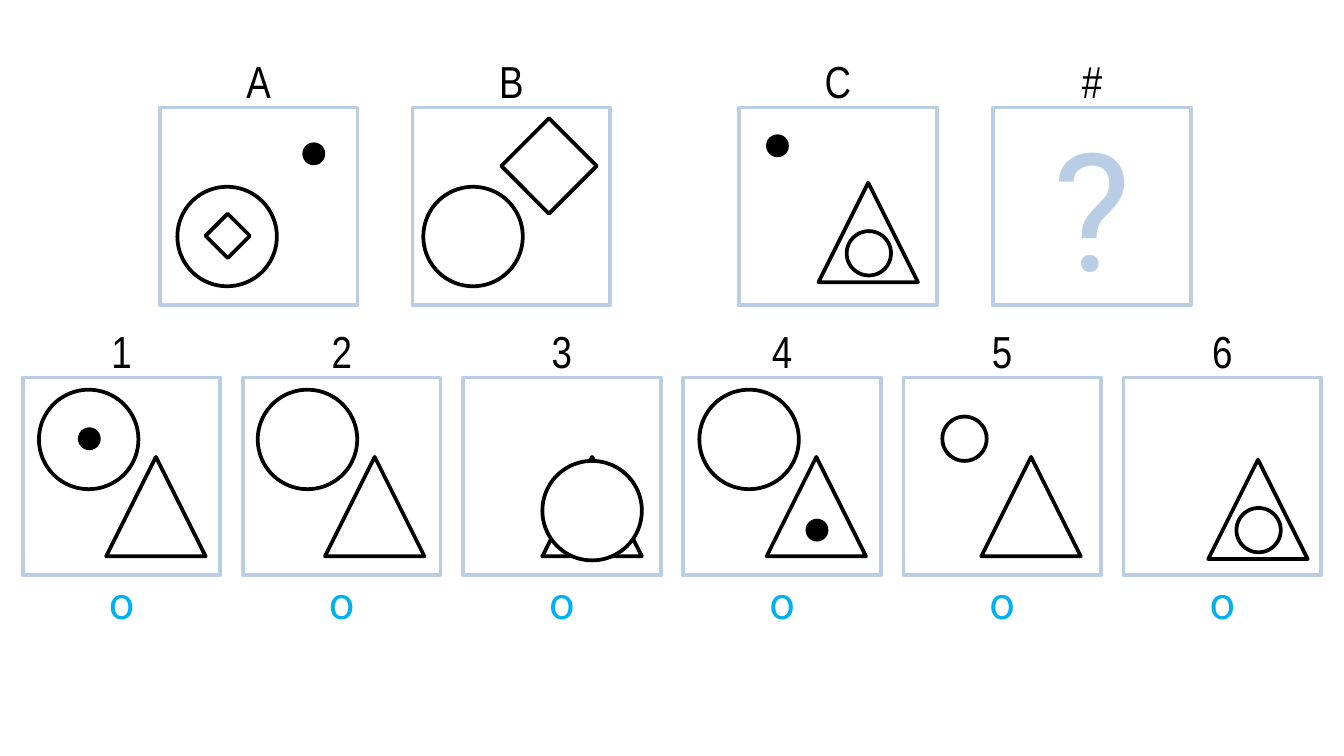
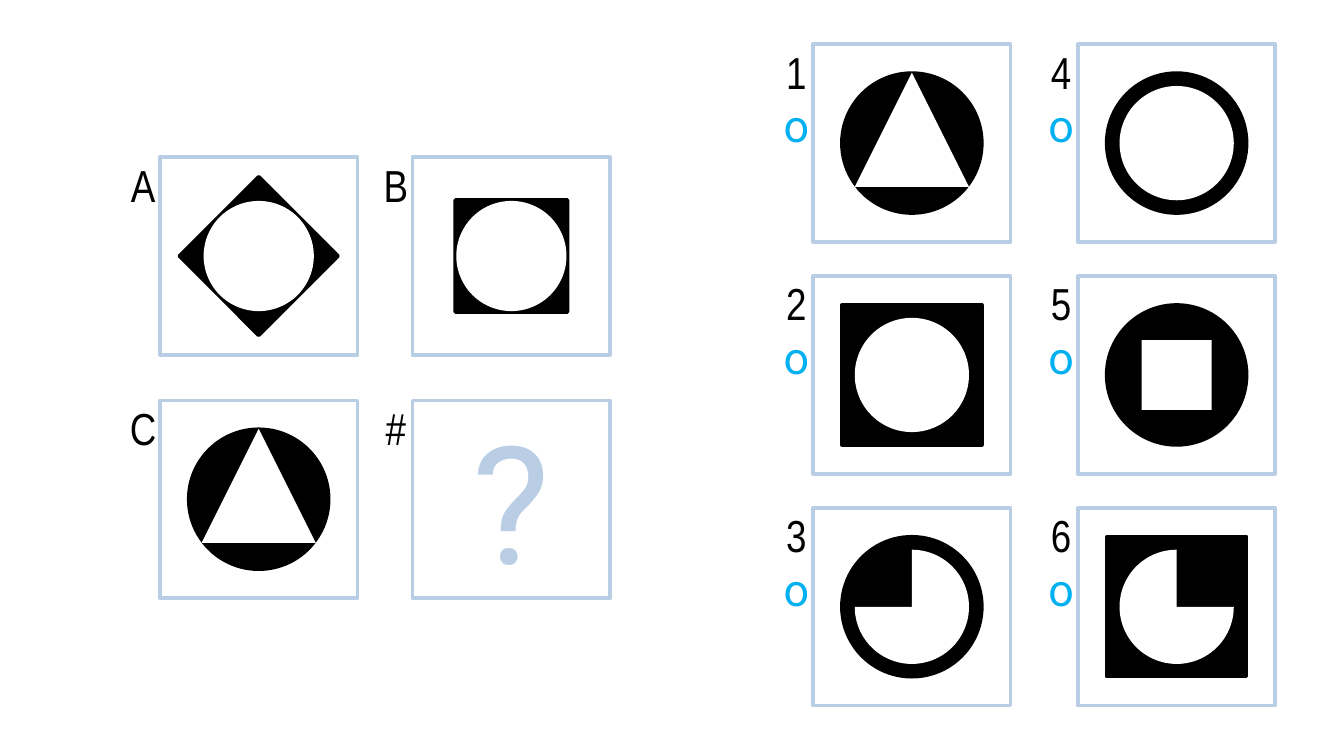
import dataclasses
import typing

import pptx
import pptx.dml.color
import pptx.enum.shapes
import pptx.enum.text
import pptx.util

Inches = pptx.util.Inches
Kind = pptx.enum.shapes.MSO_SHAPE
Anchor = pptx.enum.text.MSO_ANCHOR
Align = pptx.enum.text.PP_ALIGN

# Shared style
COLOURS = {"frame": "B9CDE5", "ink": "000000", "paper": "FFFFFF", "choice": "00B0F0"}
LABEL_FONT, SYMBOL_FONT = "Arial Narrow", "Roboto"
LABEL_SIZE, QUESTION_SIZE = 24, 88
LINE_WIDTH = 2
PANEL = 1.47
LABEL_HEIGHT = 0.4
SIDE_WIDTH = 0.25
CHOICE_MARK = "ο"

# Figure sizes
DOT, RING, LARGE = 0.17, 0.33, 0.74
OUTER, INNER = 1.04, 0.85


@dataclasses.dataclass(frozen=True)
class Figure:
    """A figure placed relative to the top left corner of its panel."""
    kind: Kind
    left: float
    top: float
    size: float
    fill: str = "paper"
    line: typing.Optional[str] = "ink"
    rotation: float = 0


@dataclasses.dataclass(frozen=True)
class Panel:
    label: str
    left: float
    top: float
    figures: tuple[Figure, ...] = ()
    is_choice: bool = False


# Figure makers
def dot(left: float, top: float) -> Figure:
    return Figure(Kind.OVAL, left, top, DOT, "ink", None)


def circle(left: float, top: float, size: float = LARGE) -> Figure:
    return Figure(Kind.OVAL, left, top, size)


def triangle(left: float, top: float) -> Figure:
    return Figure(Kind.ISOSCELES_TRIANGLE, left, top, LARGE)


def diamond(left: float, top: float, size: float) -> Figure:
    return Figure(Kind.DIAMOND, left, top, size)


def solid(kind: Kind, size: float = OUTER, rotation: float = 0) -> Figure:
    margin = (PANEL - size) / 2
    return Figure(kind, margin, margin, size, "ink", "ink", rotation)


def cutout(kind: Kind, size: float = INNER, rise: float = 0, rotation: float = 0) -> Figure:
    margin = (PANEL - size) / 2
    return Figure(kind, margin, margin - rise, size, "paper", None, rotation)


# Drawing
def colour(name: str) -> pptx.dml.color.RGBColor:
    return pptx.dml.color.RGBColor.from_string(COLOURS[name])


def add_figure(slide, kind: Kind, left: float, top: float, size: float,
               fill: typing.Optional[str], line: typing.Optional[str], rotation: float = 0):
    shape = slide.shapes.add_shape(kind, Inches(left), Inches(top), Inches(size), Inches(size))
    shape.shadow.inherit = False
    shape.rotation = rotation
    if fill:
        shape.fill.solid()
        shape.fill.fore_color.rgb = colour(fill)
    else:
        shape.fill.background()
    if line:
        shape.line.color.rgb = colour(line)
        shape.line.width = pptx.util.Pt(LINE_WIDTH)
    else:
        shape.line.fill.background()
    return shape


def add_run(shape, text: str, font: str, size: float, colour_name: str) -> None:
    paragraph = shape.text_frame.paragraphs[0]
    paragraph.alignment = Align.CENTER
    run = paragraph.add_run()
    run.text = text
    run.font.name = font
    run.font.size = pptx.util.Pt(size)
    run.font.color.rgb = colour(colour_name)


def add_label(slide, text: str, left: float, top: float, width: float,
              font: str = LABEL_FONT, colour_name: str = "ink") -> None:
    box = slide.shapes.add_textbox(Inches(left), Inches(top), Inches(width), Inches(LABEL_HEIGHT))
    frame = box.text_frame
    frame.word_wrap = True
    frame.auto_size = pptx.enum.text.MSO_AUTO_SIZE.SHAPE_TO_FIT_TEXT
    frame.vertical_anchor = Anchor.BOTTOM
    frame.margin_left = frame.margin_right = frame.margin_top = frame.margin_bottom = 0
    add_run(box, text, font, LABEL_SIZE, colour_name)


def draw_panel(slide, panel: Panel, labels_beside: bool) -> None:
    frame = add_figure(slide, Kind.RECTANGLE, panel.left, panel.top, PANEL, None, "frame")
    if panel.label == "#":
        frame.text_frame.vertical_anchor = Anchor.MIDDLE
        add_run(frame, "?", SYMBOL_FONT, QUESTION_SIZE, "frame")
    for figure in panel.figures:
        add_figure(slide, figure.kind, panel.left + figure.left, panel.top + figure.top,
                   figure.size, figure.fill, figure.line, figure.rotation)

    # Label and choice mark, beside the panel or above and below it
    if labels_beside:
        left, width = panel.left - SIDE_WIDTH, SIDE_WIDTH
        label_top, mark_top = panel.top, panel.top + LABEL_HEIGHT
    else:
        left, width = panel.left, PANEL
        label_top, mark_top = panel.top - LABEL_HEIGHT, panel.top + PANEL
    add_label(slide, panel.label, left, label_top, width)
    if panel.is_choice:
        add_label(slide, CHOICE_MARK, left, mark_top, width, SYMBOL_FONT, "choice")


def add_puzzle(presentation, panels: list[Panel], labels_beside: bool) -> None:
    slide = presentation.slides.add_slide(presentation.slide_layouts[6])
    for panel in panels:
        draw_panel(slide, panel, labels_beside)


# Slide 1: question row above a row of six choices
QUESTION_TOP, CHOICE_TOP = 0.8, 2.81
CHOICE_LEFT, CHOICE_STEP = 0.17, 1.638
row_choices = [
    (triangle(0.62, 0.59), circle(0.12, 0.09), dot(0.41, 0.37)),
    (triangle(0.61, 0.59), circle(0.11, 0.09)),
    (triangle(0.59, 0.59), circle(0.59, 0.62)),
    (triangle(0.62, 0.59), circle(0.12, 0.09), dot(0.91, 1.05)),
    (triangle(0.58, 0.59), circle(0.29, 0.29, RING)),
    (triangle(0.63, 0.61), circle(0.84, 0.97, RING)),
]
row_puzzle = [
    Panel("A", 1.19, QUESTION_TOP,
          (circle(0.13, 0.59), diamond(0.34, 0.79, RING), dot(1.06, 0.26))),
    Panel("B", 3.07, QUESTION_TOP, (circle(0.08, 0.59), diamond(0.66, 0.08, 0.71))),
    Panel("C", 5.5, QUESTION_TOP,
          (triangle(0.59, 0.56), circle(0.8, 0.92, RING), dot(0.2, 0.2))),
    Panel("#", 7.39, QUESTION_TOP),
] + [
    Panel(str(index + 1), CHOICE_LEFT + index * CHOICE_STEP, CHOICE_TOP, figures, True)
    for index, figures in enumerate(row_choices)
]

# Slide 2: question square on the left, choices in two columns on the right
DIAMOND, HOLE = 1.18, 0.82
COLUMN_LEFTS = (6.05, 8.02)
ROW_TOP, ROW_STEP, ROWS = 0.33, 1.725, 3
triangle_in_circle = (solid(Kind.OVAL), cutout(Kind.ISOSCELES_TRIANGLE, rise=0.1))
grid_choices = [
    triangle_in_circle,
    (solid(Kind.RECTANGLE), cutout(Kind.OVAL)),
    (solid(Kind.OVAL), cutout(Kind.PIE, rotation=270)),
    (solid(Kind.OVAL), cutout(Kind.OVAL)),
    (solid(Kind.OVAL), cutout(Kind.RECTANGLE, 0.52)),
    (solid(Kind.RECTANGLE), cutout(Kind.PIE)),
]
grid_puzzle = [
    Panel("A", 1.19, 1.17, (solid(Kind.DIAMOND, DIAMOND), cutout(Kind.OVAL, HOLE))),
    Panel("B", 3.07, 1.17, (solid(Kind.DIAMOND, DIAMOND, 45), cutout(Kind.OVAL, HOLE))),
    Panel("C", 1.19, 2.98, triangle_in_circle),
    Panel("#", 3.07, 2.98),
] + [
    Panel(str(index + 1), COLUMN_LEFTS[index // ROWS], ROW_TOP + index % ROWS * ROW_STEP,
          figures, True)
    for index, figures in enumerate(grid_choices)
]

# Build the presentation
presentation = pptx.Presentation()
presentation.slide_width = Inches(10)
presentation.slide_height = Inches(5.625)
add_puzzle(presentation, row_puzzle, labels_beside=False)
add_puzzle(presentation, grid_puzzle, labels_beside=True)
presentation.save("out.pptx")
